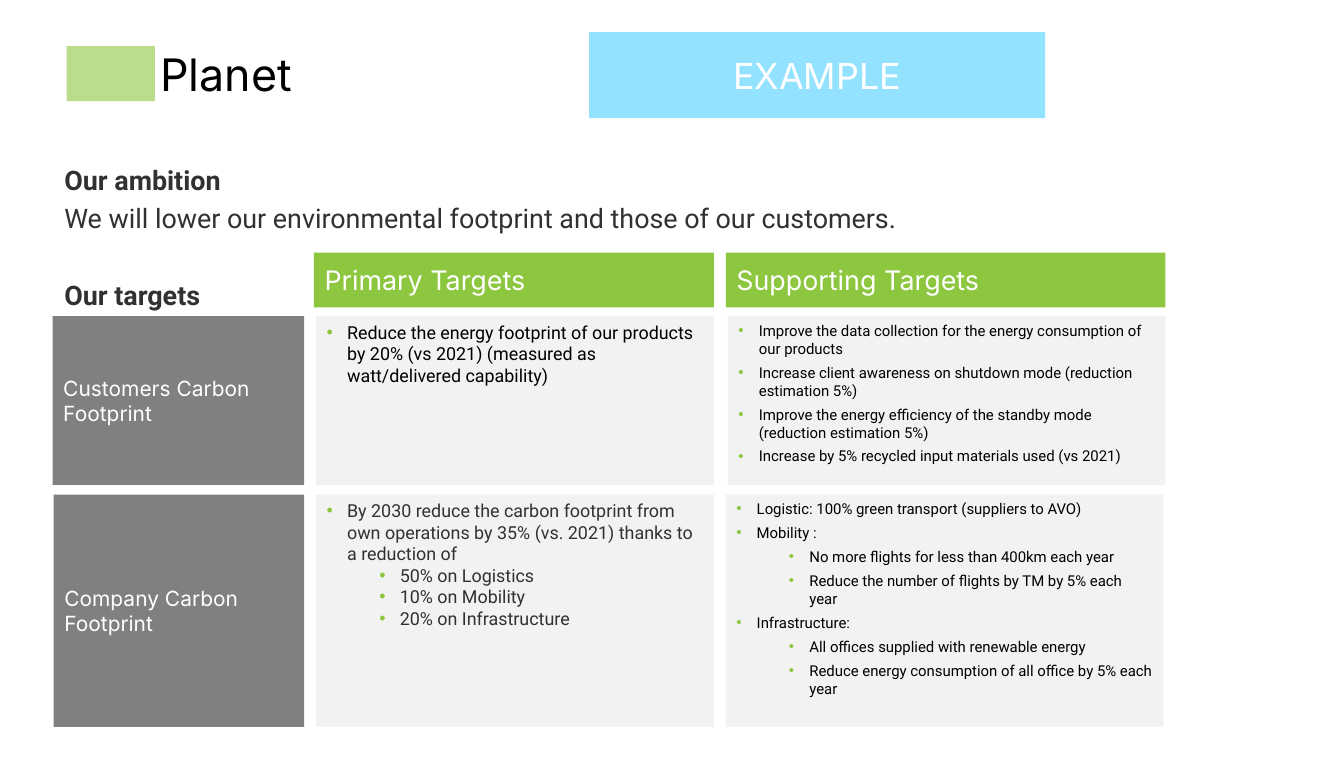
from lxml import etree
from pptx import Presentation
from pptx.dml.color import RGBColor
from pptx.enum.shapes import MSO_SHAPE
from pptx.enum.text import MSO_ANCHOR, MSO_AUTO_SIZE, PP_ALIGN
from pptx.oxml.ns import qn
from pptx.util import Inches, Pt

RECT = MSO_SHAPE.RECTANGLE
TOP, MIDDLE = MSO_ANCHOR.TOP, MSO_ANCHOR.MIDDLE
LEFT, CENTER = PP_ALIGN.LEFT, PP_ALIGN.CENTER
COLORS = {"green": "8DC63F", "gray": "808080", "pale": "F2F2F2", "sky": "93E2FF",
          "white": "FFFFFF", "black": "000000", "ink": "323130"}


def color(name):
    return RGBColor.from_string(COLORS[name])


def add_box(at, fill, paragraphs=(), size=12, font="Inter", ink="white",
            anchor=MIDDLE, align=LEFT, bullets=False, after=0):
    """Add a filled rectangle; paragraphs are (level, text) pairs."""
    box = s.shapes.add_shape(RECT, *map(Inches, at))
    box.shadow.inherit = False
    box.fill.solid()
    box.fill.fore_color.rgb = color(fill)
    box.line.fill.background()
    tf = box.text_frame
    tf.word_wrap = True
    tf.vertical_anchor = anchor
    for i, (level, text) in enumerate(paragraphs):
        p = tf.paragraphs[0] if i == 0 else tf.add_paragraph()
        p.alignment, p.level, p.space_after = align, level, Pt(after)
        r = p.add_run()
        r.text = text
        r.font.name, r.font.size, r.font.color.rgb = font, Pt(size), color(ink)
        if bullets:
            pPr = p._p.get_or_add_pPr()
            pPr.set("marL", str(Inches(0.68 if level else 0.19)))
            pPr.set("indent", str(Inches(-0.19)))
            bu_color = etree.SubElement(pPr, qn("a:buClr"))
            etree.SubElement(bu_color, qn("a:srgbClr"), val=COLORS["green"])
            etree.SubElement(pPr, qn("a:buFont"), typeface="Arial")
            etree.SubElement(pPr, qn("a:buChar"), char="•")
    return box


prs = Presentation()
prs.slide_width, prs.slide_height = Inches(12.5), Inches(7.04)
s = prs.slides.add_slide(prs.slide_layouts[5])

# Title
title = s.shapes.title
title.left, title.top, title.width, title.height = map(Inches, (0.5, 0.45, 9.97, 0.47))
tf = title.text_frame
tf.text = "Planet"
tf.auto_size = MSO_AUTO_SIZE.NONE
tf.vertical_anchor = MIDDLE
tf.margin_left = Inches(0.99)
tf.margin_top = tf.margin_right = tf.margin_bottom = 0
p = tf.paragraphs[0]
p.alignment = LEFT
font = p.runs[0].font
font.name, font.size, font.color.rgb = "Inter", Pt(30), color("black")

# Leaf icon
badge = add_box((0.62, 0.43, 0.82, 0.51), "green")
badge_color = badge.fill._xPr.find(qn("a:solidFill"))[0]
etree.SubElement(badge_color, qn("a:alpha"), val="60000")
leaf_strokes = [
    [(1.11, 0.53), (1.02, 0.54), (0.96, 0.55), (0.91, 0.58), (0.86, 0.61),
     (0.83, 0.65), (0.83, 0.69), (0.84, 0.73), (0.87, 0.77), (0.91, 0.8),
     (0.95, 0.81), (0.99, 0.8), (1.03, 0.77), (1.06, 0.73), (1.08, 0.67),
     (1.1, 0.61), (1.11, 0.53)],
    [(0.81, 0.83), (1.04, 0.6)],
    [(0.97, 0.55), (0.97, 0.67), (1.08, 0.67)],
    [(0.91, 0.58), (0.91, 0.73), (1.06, 0.73)],
]
builder = s.shapes.build_freeform(*leaf_strokes[0][0], scale=Inches(1))
for i, stroke in enumerate(leaf_strokes):
    if i:
        builder.move_to(*stroke[0])
    builder.add_line_segments(stroke[1:], close=False)
leaf = builder.convert_to_shape()
leaf.shadow.inherit = False
leaf.fill.background()
leaf.line.color.rgb = color("white")
leaf.line.width = Pt(1.25)

# Ambition and targets headings
tf = s.shapes.add_textbox(*map(Inches, (0.5, 1.47, 11.5, 4.82))).text_frame
tf.word_wrap = True
headings = [
    ("Our ambition", True, 0),
    ("We will lower our environmental footprint and those of our customers.", False, 4.2),
    ("Our targets", True, 29.5),
]
for i, (text, bold, before) in enumerate(headings):
    p = tf.paragraphs[0] if i == 0 else tf.add_paragraph()
    p.space_before = Pt(before)
    r = p.add_run()
    r.text = text
    for name, value in {"name": "Roboto", "size": Pt(18), "bold": bold}.items():
        setattr(r.font, name, value)
    r.font.color.rgb = color("ink")

# Column headers
add_box((2.92, 2.35, 3.72, 0.51), "green", [(0, "Primary Targets")], 18)
add_box((6.75, 2.35, 4.09, 0.51), "green", [(0, "Supporting Targets")], 18)

# Row labels
add_box((0.49, 2.94, 2.34, 1.57), "gray", [(0, "Customers Carbon Footprint")], 14)
add_box((0.5, 4.6, 2.33, 2.16), "gray", [(0, "Company Carbon Footprint")], 14)

# Target cards: position, text size, text colour, space after, paragraphs
cards = [
    ((2.94, 2.94, 3.7, 1.57), 12, "black", 7.5, [
        (0, "Reduce the energy footprint of our products by 20% (vs 2021) "
            "(measured as watt/delivered capability)")]),
    ((6.77, 2.94, 4.07, 1.57), 10, "black", 4, [
        (0, "Improve the data collection for the energy consumption of our products"),
        (0, "Increase client awareness on shutdown mode (reduction estimation 5%)"),
        (0, "Improve the energy efficiency of the standby mode (reduction estimation 5%)"),
        (0, "Increase by 5% recycled input materials used (vs 2021)")]),
    ((2.94, 4.6, 3.7, 2.16), 12, "ink", 0, [
        (0, "By 2030 reduce the carbon footprint from own operations by 35% "
            "(vs. 2021) thanks to a reduction of"),
        (1, "50% on Logistics"),
        (1, "10% on Mobility"),
        (1, "20% on Infrastructure")]),
    ((6.75, 4.6, 4.07, 2.16), 10, "black", 4, [
        (0, "Logistic: 100% green transport (suppliers to AVO)"),
        (0, "Mobility :"),
        (1, "No more flights for less than 400km each year"),
        (1, "Reduce the number of flights by TM by 5% each year"),
        (0, "Infrastructure:"),
        (1, "All offices supplied with renewable energy"),
        (1, "Reduce energy consumption of all office by 5% each year")]),
]
for at, size, ink, after, paragraphs in cards:
    add_box(at, "pale", paragraphs, size, "Roboto", ink, TOP, bullets=True, after=after)

# Example banner
add_box((5.48, 0.3, 4.24, 0.8), "sky", [(0, "EXAMPLE")], 24, align=CENTER)

prs.save("out.pptx")
